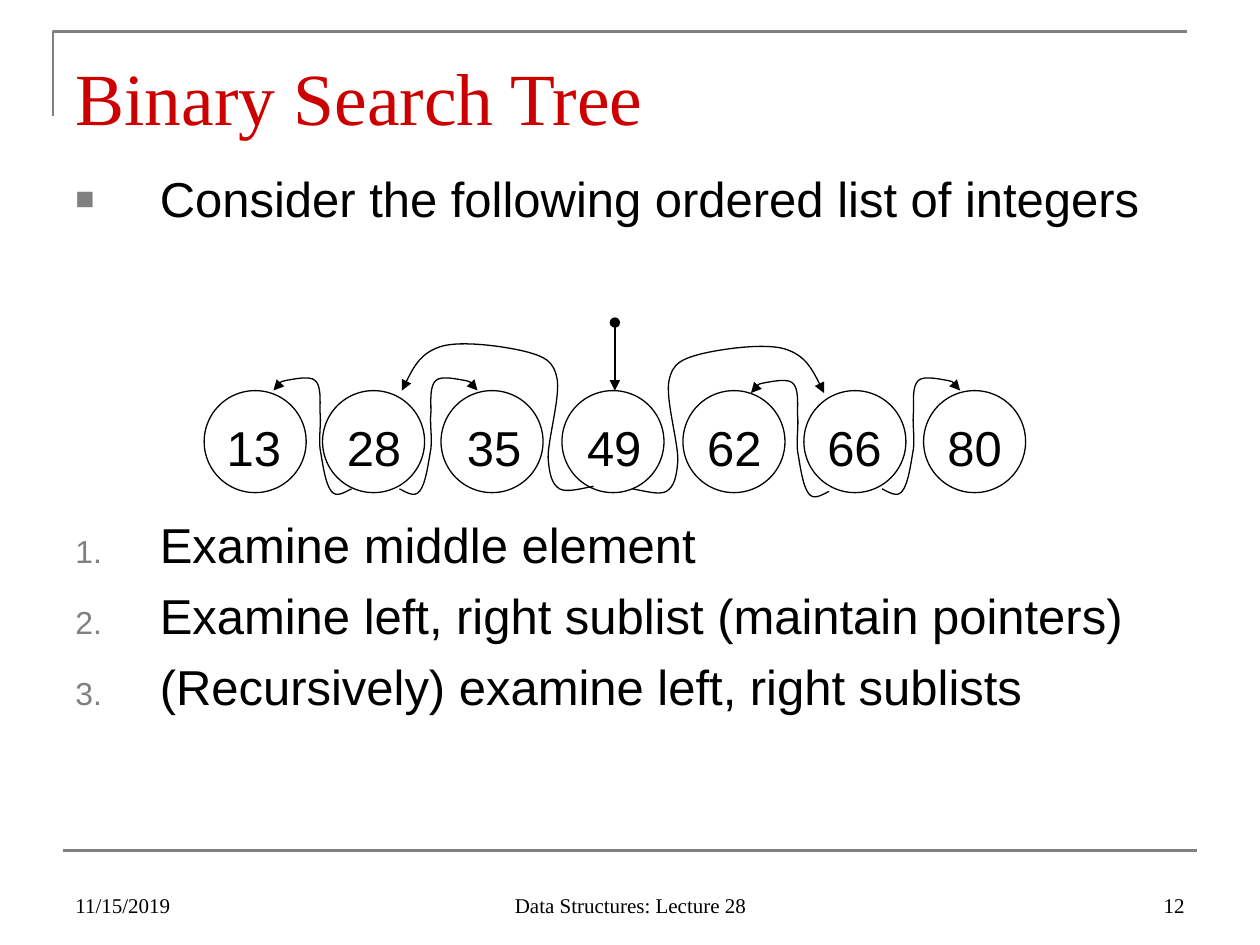
import pptx
import pptx.util
import pptx.dml.color
import pptx.enum.shapes
import pptx.enum.text
import pptx.oxml
import pptx.oxml.ns
from lxml import etree

Inches = pptx.util.Inches
Pt = pptx.util.Pt
qn = pptx.oxml.ns.qn
ALIGN = pptx.enum.text.PP_ALIGN
ANCHOR = pptx.enum.text.MSO_ANCHOR

# Curve points as offsets from the start, three for each Bezier segment
HOOK = [
    (0.06, 0.03), (0.12, 0.07), (0.16, 0.02),
    (0.21, -0.04), (0.23, -0.21), (0.25, -0.32),
    (0.26, -0.42), (0.24, -0.52), (0.25, -0.61),
    (0.25, -0.7), (0.24, -0.82), (0.29, -0.86),
    (0.33, -0.9), (0.46, -0.87), (0.52, -0.86),
    (0.57, -0.85), (0.6, -0.81), (0.62, -0.78),
]
ARCH = [
    (0.11, 0.02), (0.21, 0.05), (0.27, 0.02),
    (0.33, -0.02), (0.35, -0.09), (0.36, -0.23),
    (0.36, -0.38), (0.26, -0.72), (0.29, -0.86),
    (0.32, -1), (0.39, -1.03), (0.54, -1.07),
    (0.7, -1.11), (1.05, -1.16), (1.21, -1.11),
    (1.37, -1.06), (1.45, -0.91), (1.52, -0.76),
]


def color(code):
    return pptx.dml.color.RGBColor.from_string(code)


def write(para, text, size=28, font="Arial", ink="000000", align=ALIGN.LEFT):
    run = para.add_run()
    run.text = text
    run.font.size = Pt(size)
    run.font.name = font
    run.font.color.rgb = color(ink)
    para.alignment = align


def bend(shape):
    """Turn each three straight segments of a freeform into one Bezier."""
    steps = list(shape._element.iter(qn("a:lnTo")))
    for i in range(0, len(steps), 3):
        curve = etree.Element(qn("a:cubicBezTo"))
        steps[i].addprevious(curve)
        for step in steps[i:i + 3]:
            curve.append(step[0])
            step.getparent().remove(step)


class Deck:
    serif = "Times New Roman"
    gray = "808080"
    ink = "000000"

    def __init__(self):
        self.prs = pptx.Presentation()
        self.prs.slide_width = Inches(10)
        self.prs.slide_height = Inches(7.5)
        self.slide = self.prs.slides.add_slide(self.prs.slide_layouts[6])
        self.shapes = self.slide.shapes

    def box(self, x, y, w, h, top=0.05, anchor=ANCHOR.TOP):
        frame = self.shapes.add_textbox(
            Inches(x), Inches(y), Inches(w), Inches(h)).text_frame
        frame.word_wrap = True
        frame.margin_top = Inches(top)
        frame.vertical_anchor = anchor
        return frame

    def label(self, text, x, y, w, h, top=0.05, anchor=ANCHOR.TOP, **style):
        write(self.box(x, y, w, h, top, anchor).paragraphs[0], text, **style)

    def footer(self, text, x, w, align):
        self.label(text, x, 6.83, w, 0.5, anchor=ANCHOR.BOTTOM,
                   size=12, font=self.serif, align=align)

    def item(self, para, text, mark, before=0):
        """Write a list item; mark is the tag and attributes of its bullet."""
        props = para._p.get_or_add_pPr()
        props.set("marL", str(Inches(0.67)))
        props.set("indent", str(-Inches(0.67)))
        tint = etree.SubElement(props, qn("a:buClr"))
        etree.SubElement(tint, qn("a:srgbClr"), val=self.gray)
        etree.SubElement(props, qn("a:buSzPct"), val="65000")
        etree.SubElement(props, qn("a:buFont"), typeface="Arial")
        tag, attrs = mark
        etree.SubElement(props, qn(tag), attrs)
        if before:
            para.space_before = Pt(before)
        write(para, text)

    def stroke(self, shape, ink=ink, width=0.75, head=None, tail=None):
        shape.line.color.rgb = color(ink)
        shape.line.width = Pt(width)
        ln = shape.line._get_or_add_ln()
        for tag, kind in (("a:headEnd", head), ("a:tailEnd", tail)):
            if kind:
                etree.SubElement(ln, qn(tag), type=kind)

    def line(self, start, end, **style):
        link = self.shapes.add_connector(
            pptx.enum.shapes.MSO_CONNECTOR.STRAIGHT,
            *(Inches(v) for v in start + end))
        self.stroke(link, **style)
        etree.SubElement(link._element.spPr, qn("a:effectLst"))

    def trace(self, points, curved=False, **style):
        """Draw an open outline, of Bezier segments if curved."""
        spots = [(Inches(x), Inches(y)) for x, y in points]
        pen = self.shapes.build_freeform(*spots[0])
        pen.add_line_segments(spots[1:], close=False)
        shape = pen.convert_to_shape()
        if curved:
            bend(shape)
        shape.shadow.inherit = False
        shape.fill.background()
        self.stroke(shape, **style)

    def link(self, x, y, side, steps):
        """Draw a curved pointer; side is 1 to the right, -1 to the left."""
        points = [(x, y)] + [(x + side * dx, y + dy) for dx, dy in steps]
        self.trace(points, curved=True, tail="triangle")

    def ring(self, x, y, size):
        shape = self.shapes.add_shape(
            pptx.enum.shapes.MSO_SHAPE.OVAL,
            Inches(x), Inches(y), Inches(size), Inches(size))
        shape.shadow.inherit = False
        shape.fill.background()
        self.stroke(shape)


def main():
    deck = Deck()
    deck.trace([(0.42, 0.92), (0.42, 0.25), (9.42, 0.25)],
               ink=deck.gray, width=1.5)
    deck.line((0.5, 6.75), (9.5, 6.75), ink=deck.gray, width=1.5)
    deck.footer("11/15/2019", 0.5, 2.33, ALIGN.LEFT)
    deck.footer("Data Structures: Lecture 28", 3.42, 3.17, ALIGN.CENTER)
    deck.footer("12", 7.17, 2.33, ALIGN.RIGHT)
    deck.label("Binary Search Tree", 0.5, 0.3, 9, 0.78, top=0.11,
               size=42, font=deck.serif, ink="CC0000")

    body = deck.box(0.5, 1.25, 9, 5.45, top=0.09)
    deck.item(body.paragraphs[0],
              "Consider the following ordered list of integers",
              ("a:buChar", {"char": "■"}))
    number = ("a:buAutoNum", {"type": "arabicPeriod"})
    steps = [
        ("Examine middle element", 164),
        ("Examine left, right sublist (maintain pointers)", 7),
        ("(Recursively) examine left, right sublists", 7),
    ]
    for text, before in steps:
        deck.item(body.add_paragraph(), text, number, before)

    keys = [13, 28, 35, 49, 62, 66, 80]
    lefts = [1.62, 2.56, 3.5, 4.46, 5.42, 6.38, 7.33]
    for i, (key, left) in enumerate(zip(keys, lefts)):
        deck.label(str(key), 1.54 + i * 5.72 / 6, 3.22, 0.95, 0.63,
                   top=0.09, align=ALIGN.CENTER)
        deck.ring(left, 3.1, 0.81)

    deck.line((4.88, 2.56), (4.88, 3.1), head="oval", tail="triangle")
    deck.link(4.71, 3.86, -1, ARCH)
    deck.link(5.02, 3.88, 1, ARCH)
    for x, y, side in [(3.17, 3.88, 1), (7, 3.88, 1),
                       (2.79, 3.88, -1), (6.58, 3.9, -1)]:
        deck.link(x, y, side, HOOK)

    deck.prs.save("out.pptx")


if __name__ == "__main__":
    main()
